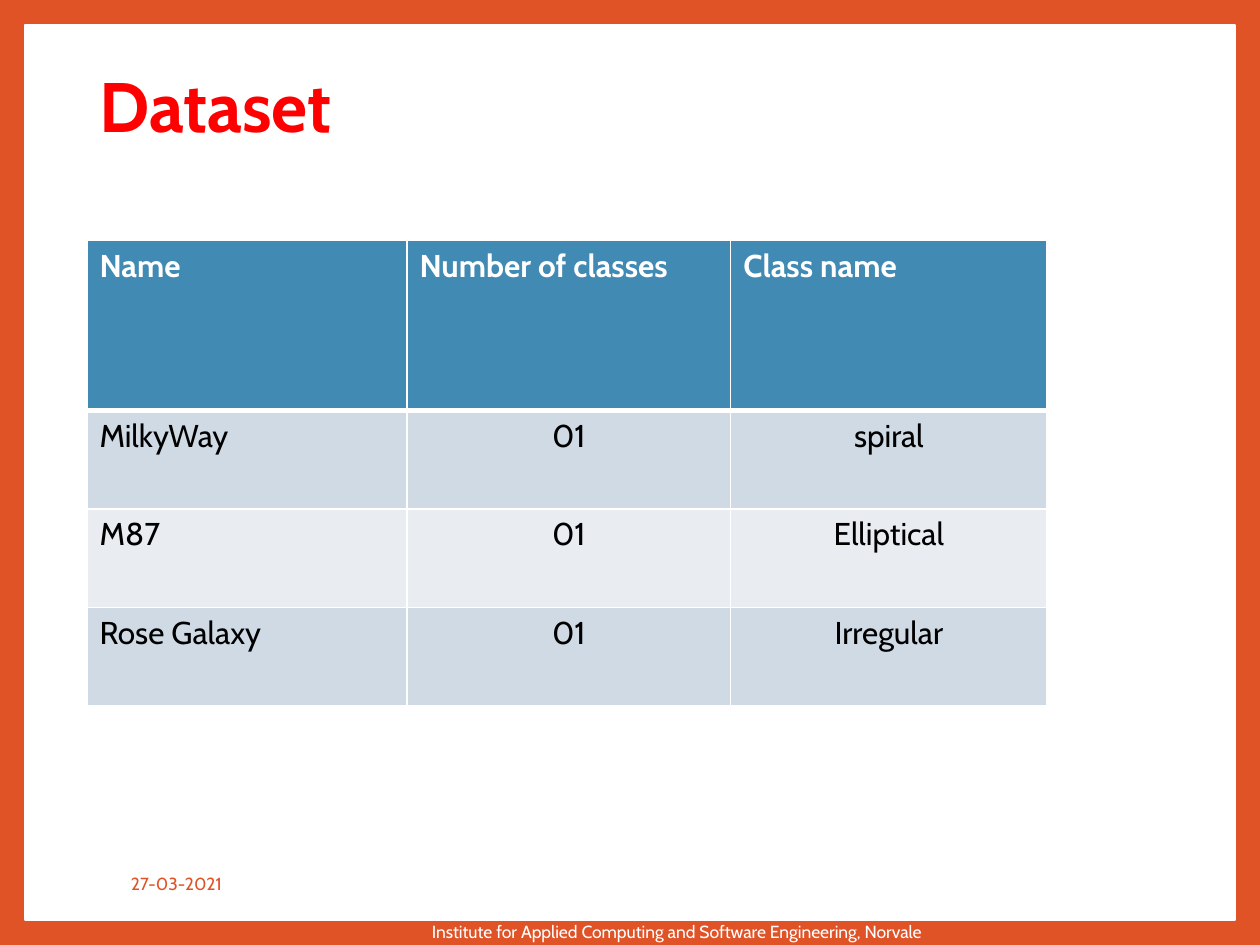
from lxml import etree
from pptx import Presentation
from pptx.dml.color import RGBColor
from pptx.enum.shapes import MSO_SHAPE
from pptx.enum.text import MSO_ANCHOR, MSO_AUTO_SIZE, PP_ALIGN
from pptx.oxml.ns import qn
from pptx.util import Inches, Pt

RECTANGLE = MSO_SHAPE.RECTANGLE
BOTTOM, MIDDLE = MSO_ANCHOR.BOTTOM, MSO_ANCHOR.MIDDLE
LEFT, CENTER = PP_ALIGN.LEFT, PP_ALIGN.CENTER
NO_AUTOFIT = MSO_AUTO_SIZE.NONE
TITLE_ONLY = 5

COLORS = {
    "orange": "DF5327",
    "white": "FFFFFF",
    "red": "FF0000",
    "black": "000000",
    "header": "418AB3",
    "band_dark": "CFDAE5",
    "band_light": "E9EDF2",
}

DATASET = [
    ("Name", "Number of classes", "Class name"),
    ("MilkyWay", "01", "spiral"),
    ("M87", "01", "Elliptical"),
    ("Rose Galaxy", "01", "Irregular"),
]
COLUMN_WIDTHS = (2.54, 2.57, 2.51)
ROW_HEIGHTS = (1.35, 0.78, 0.78, 0.78)


def rgb(color):
    return RGBColor.from_string(COLORS[color])


class SlideBuilder:
    font = "Cabin"

    def __init__(self, slide):
        self.slide = slide

    def background(self, color):
        fill = self.slide.background.fill
        fill.solid()
        fill.fore_color.rgb = rgb(color)

    def panel(self, left, top, width, height, color):
        panel = self.slide.shapes.add_shape(
            RECTANGLE, Inches(left), Inches(top), Inches(width), Inches(height))
        panel.shadow.inherit = False
        panel.fill.solid()
        panel.fill.fore_color.rgb = rgb(color)
        panel.line.color.rgb = rgb(color)
        panel.line.width = Pt(1)

    def set_text(self, frame, text, size, color, bold=False, align=LEFT):
        frame.text = text
        paragraph = frame.paragraphs[0]
        paragraph.alignment = align
        for run in paragraph.runs:
            run.font.name = self.font
            run.font.size = Pt(size)
            run.font.bold = bold
            run.font.color.rgb = rgb(color)

    def title(self, left, top, width, height, text):
        title = self.slide.shapes.title
        title.left, title.top = Inches(left), Inches(top)
        title.width, title.height = Inches(width), Inches(height)
        frame = title.text_frame
        frame.auto_size = NO_AUTOFIT
        frame.vertical_anchor = BOTTOM
        frame.margin_bottom = Inches(0.1)
        self.set_text(frame, text, 40, "red", bold=True)
        # Bring the title in front of the panel
        self.slide.shapes.element.append(title.element)

    def label(self, left, top, width, height, text, color, align=LEFT):
        label = self.slide.shapes.add_textbox(
            Inches(left), Inches(top), Inches(width), Inches(height))
        frame = label.text_frame
        frame.word_wrap = True
        frame.vertical_anchor = MIDDLE
        self.set_text(frame, text, 10, color, align=align)

    def cell_borders(self, cell, widths):
        """Draw white borders; widths maps the sides L, R, T, B to points."""
        properties = cell._tc.get_or_add_tcPr()
        for side, width in widths.items():
            border = etree.SubElement(properties, qn(f"a:ln{side}"), w=str(Pt(width)))
            fill = etree.SubElement(border, qn("a:solidFill"))
            etree.SubElement(fill, qn("a:srgbClr"), val=COLORS["white"])

    def table(self, left, top, rows, column_widths, row_heights):
        table = self.slide.shapes.add_table(
            len(rows), len(column_widths), Inches(left), Inches(top),
            Inches(sum(column_widths)), Inches(sum(row_heights))).table
        for column, width in zip(table.columns, column_widths):
            column.width = Inches(width)
        for row, height in zip(table.rows, row_heights):
            row.height = Inches(height)
        for r, values in enumerate(rows):
            is_header = r == 0
            band = "header" if is_header else "band_dark" if r % 2 else "band_light"
            for c, value in enumerate(values):
                cell = table.cell(r, c)
                self.cell_borders(cell, {"L": 1, "R": 1, "T": 3 if r == 1 else 1,
                                         "B": 3 if is_header else 1})
                cell.fill.solid()
                cell.fill.fore_color.rgb = rgb(band)
                self.set_text(cell.text_frame, value, 18,
                              "white" if is_header else "black", bold=is_header,
                              align=LEFT if is_header or c == 0 else CENTER)


def main():
    presentation = Presentation()
    presentation.slide_width = Inches(10)
    presentation.slide_height = Inches(7.5)
    layout = presentation.slide_layouts[TITLE_ONLY]
    builder = SlideBuilder(presentation.slides.add_slide(layout))

    builder.background("orange")
    builder.panel(0.2, 0.2, 9.6, 7.1, "white")
    builder.title(0.69, 0.39, 8.5, 0.87, "Dataset")
    builder.table(0.69, 1.91, DATASET, COLUMN_WIDTHS, ROW_HEIGHTS)
    builder.label(0.94, 6.81, 1.91, 0.4, "27-03-2021", "orange")
    builder.label(3.12, 7.19, 4.5, 0.4,
                  "Institute for Applied Computing and Software Engineering, Norvale",
                  "white", CENTER)
    presentation.save("out.pptx")


if __name__ == "__main__":
    main()
